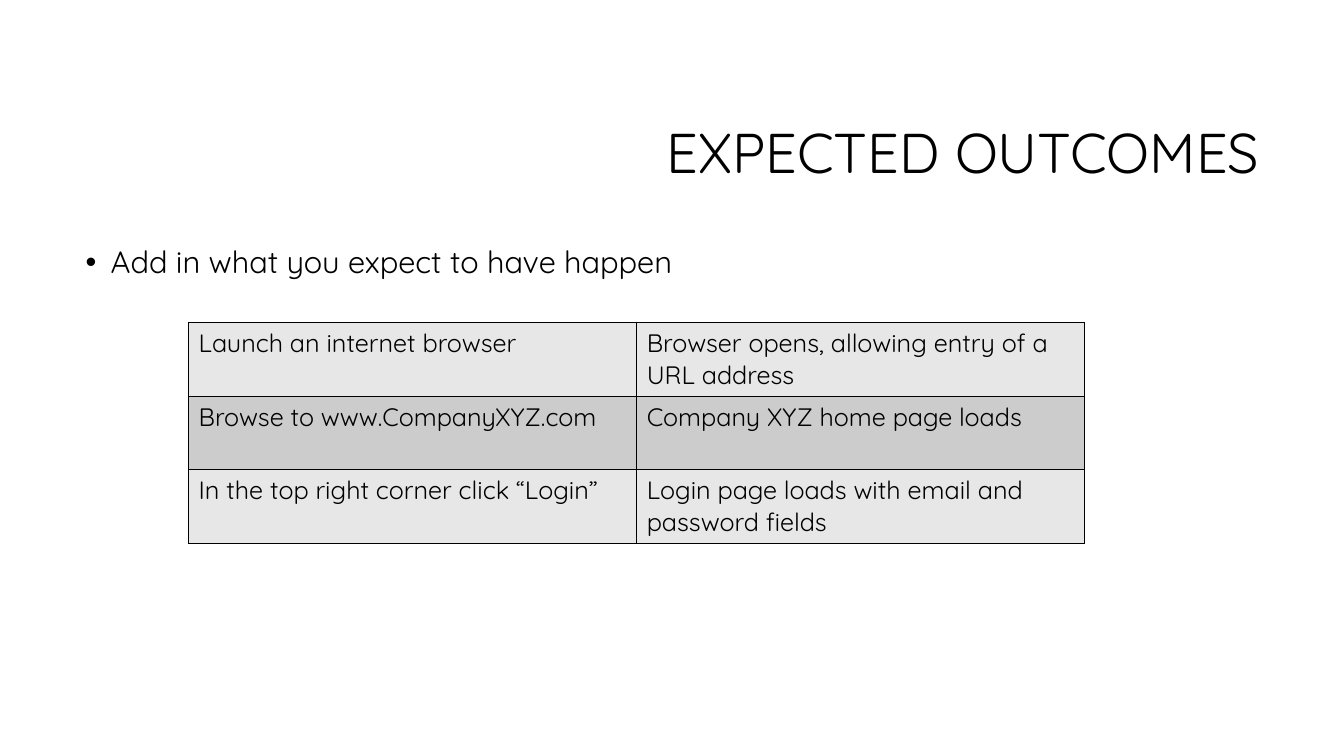
from dataclasses import dataclass
from lxml.etree import SubElement
from pptx import Presentation
from pptx.dml.color import RGBColor
from pptx.enum.text import MSO_ANCHOR, MSO_AUTO_SIZE, PP_ALIGN
from pptx.oxml.ns import qn
from pptx.util import Inches, Pt


@dataclass(frozen=True)
class Theme:
    font: str = "Quicksand"
    ink: str = "000000"
    page: str = "FFFFFF"
    bands: tuple = ("E7E7E7", "CCCCCC")
    title: int = 40
    body: int = 22
    cell: int = 18
    rule: int = 1


def write(frame, text, size, theme, align=PP_ALIGN.LEFT, line=None, before=None):
    para = frame.paragraphs[0]
    para.alignment = align
    para.line_spacing = line
    para.space_before = before
    run = para.add_run()
    run.text = text
    run.font.name = theme.font
    run.font.size = Pt(size)
    run.font.color.rgb = RGBColor.from_string(theme.ink)
    return para


class Deck:
    def __init__(self, theme):
        self.theme = theme
        self.file = Presentation()
        self.file.slide_width = Inches(13.33)
        self.file.slide_height = Inches(7.5)
        self.slide = self.file.slides.add_slide(self.file.slide_layouts[5])
        fill = self.slide.background.fill
        fill.solid()
        fill.fore_color.rgb = RGBColor.from_string(theme.page)

    def title(self, text, left, top, width, height):
        shape = self.slide.shapes.title
        shape.left, shape.top = Inches(left), Inches(top)
        shape.width, shape.height = Inches(width), Inches(height)
        frame = shape.text_frame
        frame.auto_size = MSO_AUTO_SIZE.NONE
        frame.vertical_anchor = MSO_ANCHOR.MIDDLE
        write(frame, text, self.theme.title, self.theme, align=PP_ALIGN.RIGHT, line=0.9)

    def bullet(self, text, left, top, width, height):
        box = self.slide.shapes.add_textbox(
            Inches(left), Inches(top), Inches(width), Inches(height))
        frame = box.text_frame
        frame.word_wrap = True
        para = write(frame, text, self.theme.body, self.theme, line=0.9, before=Pt(10))
        props = para._p.get_or_add_pPr()
        props.set("marL", str(Inches(0.25)))
        props.set("indent", str(-Inches(0.25)))
        SubElement(props, qn("a:buFont"), typeface="Arial")
        SubElement(props, qn("a:buChar"), char="•")

    def border(self, cell):
        props = cell._tc.get_or_add_tcPr()
        for side in ("lnL", "lnR", "lnT", "lnB"):
            line = SubElement(props, qn(f"a:{side}"), w=str(Pt(self.theme.rule)))
            fill = SubElement(line, qn("a:solidFill"))
            SubElement(fill, qn("a:srgbClr"), val=self.theme.ink)

    def table(self, rows, left, top, width, height):
        grid = self.slide.shapes.add_table(
            len(rows), len(rows[0]), Inches(left), Inches(top),
            Inches(width), Inches(height)).table
        grid.first_row = False
        grid.horz_banding = False
        for i, row in enumerate(rows):
            for j, text in enumerate(row):
                cell = grid.cell(i, j)
                self.border(cell)
                cell.fill.solid()
                band = self.theme.bands[i % len(self.theme.bands)]
                cell.fill.fore_color.rgb = RGBColor.from_string(band)
                write(cell.text_frame, text, self.theme.cell, self.theme)


def main():
    deck = Deck(Theme())
    deck.title("EXPECTED OUTCOMES", 3.17, 0.84, 9.42, 1.41)
    deck.bullet("Add in what you expect to have happen", 0.75, 2.4, 11.83, 4.4)
    steps = [
        ("Launch an internet browser", "Browser opens, allowing entry of a URL address"),
        ("Browse to www.CompanyXYZ.com", "Company XYZ home page loads"),
        ("In the top right corner click “Login”",
         "Login page loads with email and password fields"),
    ]
    deck.table(steps, 1.87, 3.2, 8.89, 2.19)
    deck.file.save("out.pptx")


if __name__ == "__main__":
    main()
